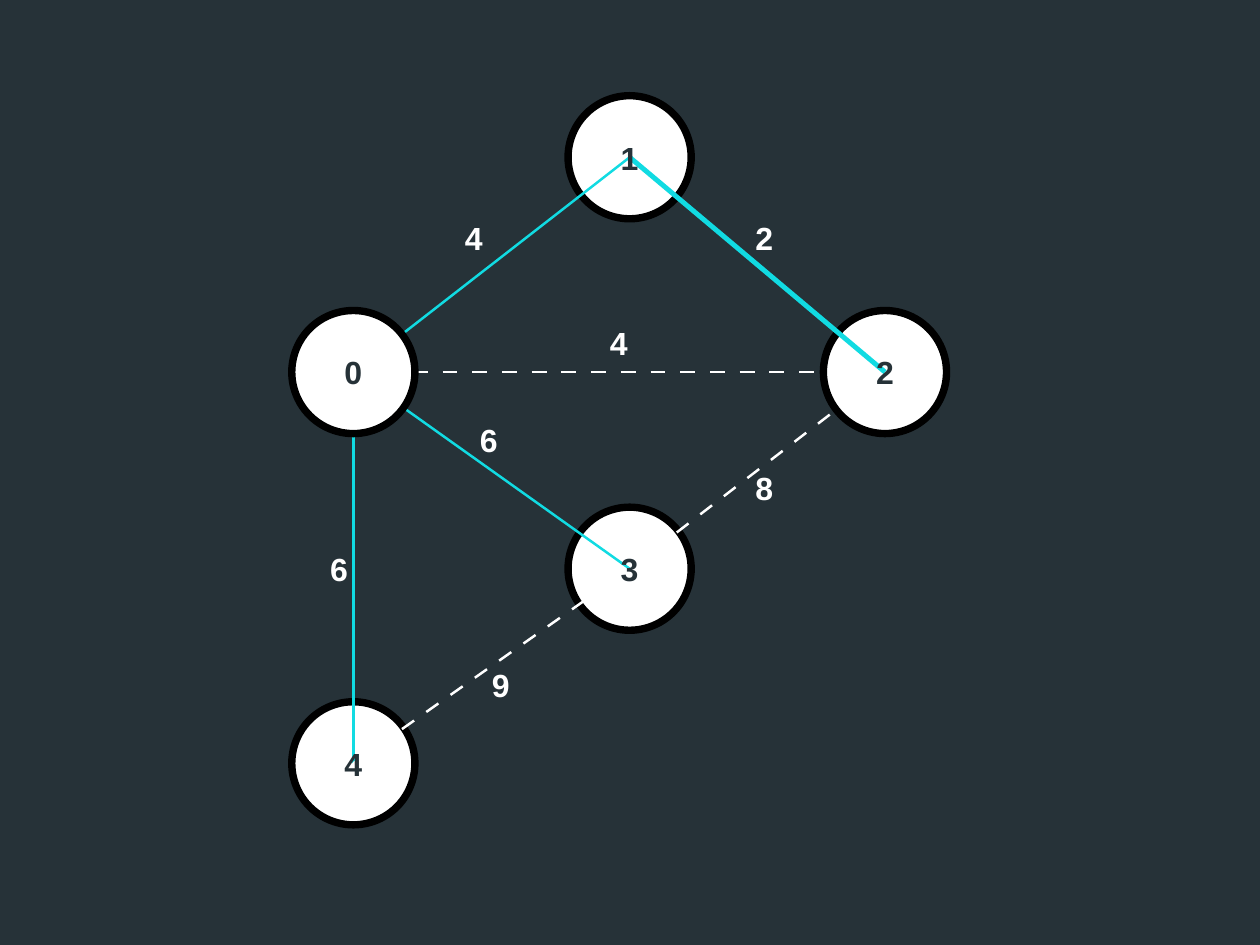
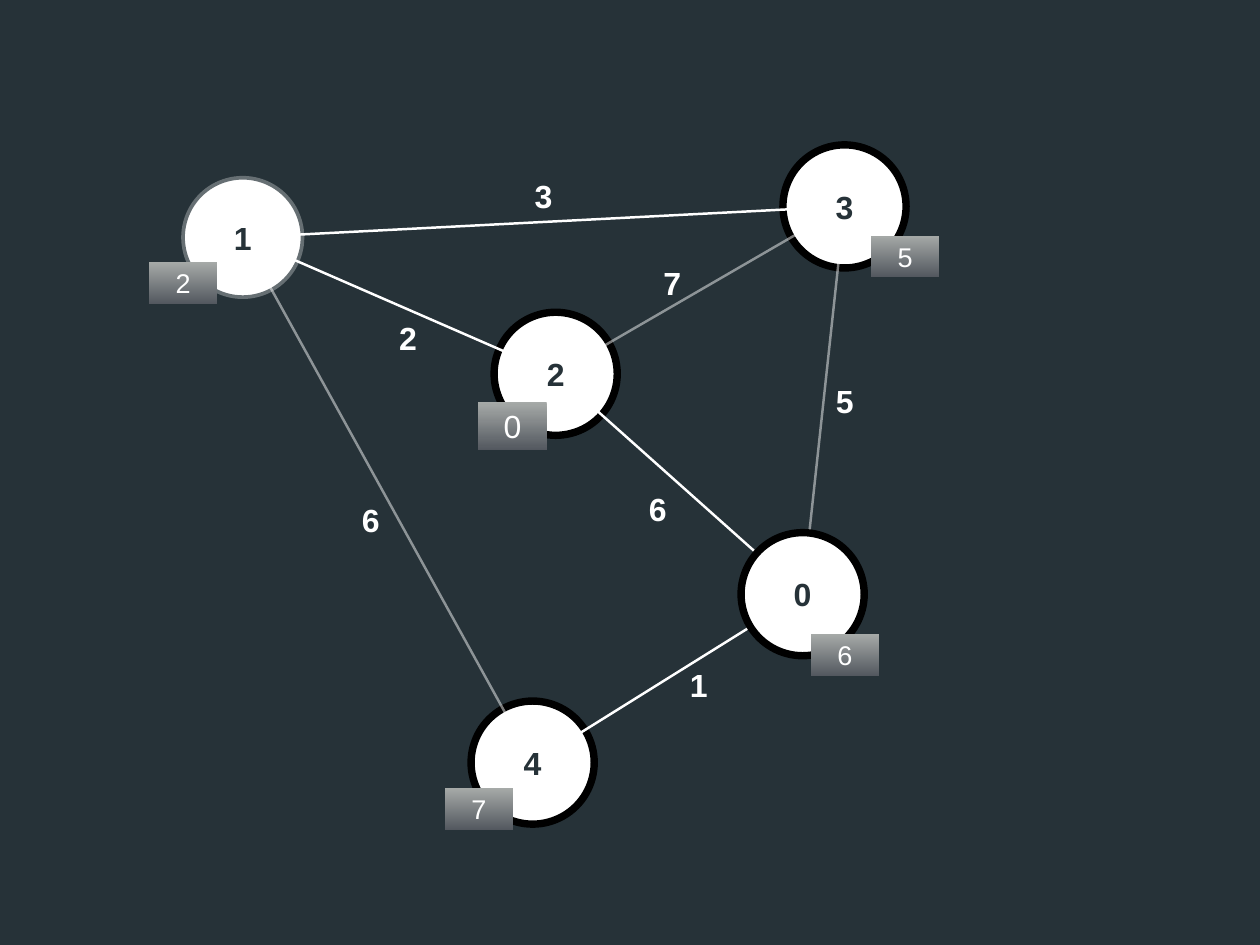
from lxml import etree
from pptx import Presentation
from pptx.dml.color import RGBColor
from pptx.enum import shapes, text
from pptx.oxml import ns
from pptx.util import Cm, Pt

DARK, WHITE, BLACK, TEAL = "263238", "FFFFFF", "000000", "11DBE2"
BADGE_TOP, BADGE_BOTTOM = "A6AAA8", "53585F"
FONT = "Arial"
NODE_SIZE = 3.53
LABEL_SIZE = (0.84, 1.37)
BADGE_WIDTH = 1.96

# Line styles; "opacity" is in percent, "dash" in multiples of the line width
TREE = dict(color=TEAL, width=2)
BOLD_TREE = dict(color=TEAL, width=4)
DASHED = dict(color=WHITE, width=2, dash=6)
PLAIN = dict(color=WHITE, width=2)
FAINT = dict(color=WHITE, width=2, opacity=48)
RING = dict(color=BLACK, width=6)
FADED_RING = dict(color=DARK, width=6, opacity=70)

# All positions are centres in centimetres.
# nodes: name -> centre; edges: from, to, weight, weight centre, style
# badges: text, centre, height, font size
GRAPHS = [
    dict(
        nodes={"1": (18.05, 4.51), "2": (25.37, 10.67), "4": (10.13, 21.89),
               "3": (18.05, 16.31), "0": (10.13, 10.67)},
        edges=[
            ("0", "1", "4", (13.58, 6.81), TREE),
            ("4", "0", "6", (9.72, 16.31), TREE),
            ("0", "2", "4", (17.74, 9.83), DASHED),
            ("3", "2", "8", (21.91, 14.0), DASHED),
            ("2", "1", "2", (21.91, 6.81), BOLD_TREE),
            ("3", "0", "6", (14.01, 12.62), TREE),
            ("4", "3", "9", (14.36, 19.63), DASHED),
        ],
        rings={},
        badges=[],
    ),
    dict(
        nodes={"1": (6.96, 6.81), "2": (15.93, 10.72), "4": (15.27, 21.87),
               "3": (24.21, 5.92), "0": (23.01, 17.04)},
        edges=[
            ("3", "1", "3", (15.58, 5.61), PLAIN),
            ("4", "0", "1", (20.03, 19.63), PLAIN),
            ("0", "2", "6", (18.86, 14.58), PLAIN),
            ("3", "2", "7", (19.27, 8.1), FAINT),
            ("2", "1", "2", (11.7, 9.68), PLAIN),
            ("3", "0", "5", (24.22, 11.48), FAINT),
            ("4", "1", "6", (10.63, 14.91), FAINT),
        ],
        rings={"1": FADED_RING},
        badges=[
            ("0", (14.69, 12.22), 1.37, 26),
            ("7", (13.73, 23.2), 1.19, 22),
            ("6", (24.22, 18.78), 1.19, 22),
            ("5", (25.95, 7.35), 1.19, 22),
            ("2", (5.25, 8.12), 1.19, 22),
        ],
    ),
]
START = "0"  # the start node lies above the edges


def rgb(value):
    """Turn a hex string into a colour."""
    return RGBColor.from_string(value)


def box(centre, width, height):
    """Return left, top, width and height of a box around a centre."""
    x, y = centre
    return Cm(x - width / 2), Cm(y - height / 2), Cm(width), Cm(height)


def style_line(line, color, width, opacity=None, dash=None):
    """Set colour, width, opacity and dashes of a line."""
    line.fill.solid()
    line.fill.fore_color.rgb = rgb(color)
    line.width = Pt(width)
    fill = line.fill._xPr.find(ns.qn("a:solidFill"))
    if opacity:
        etree.SubElement(fill[0], ns.qn("a:alpha"), val=str(opacity * 1000))
    if dash:
        pattern = etree.Element(ns.qn("a:custDash"))
        length = str(dash * 100000)
        etree.SubElement(pattern, ns.qn("a:ds"), d=length, sp=length)
        fill.addnext(pattern)


def write(sp, content, color=WHITE, size=26, bold=True, wrap=True):
    """Put centred text into a shape."""
    tf = sp.text_frame
    tf.word_wrap = wrap
    tf.vertical_anchor = text.MSO_ANCHOR.MIDDLE
    tf.margin_left = tf.margin_right = Cm(0.15)
    tf.margin_top = tf.margin_bottom = Cm(0.15)
    p = tf.paragraphs[0]
    p.alignment = text.PP_ALIGN.CENTER
    r = p.add_run()
    r.text = content
    r.font.name, r.font.size, r.font.bold = FONT, Pt(size), bold
    r.font.color.rgb = rgb(color)


def add_node(s, centre, ring):
    """Draw the circle of a node."""
    sp = s.shapes.add_shape(shapes.MSO_SHAPE.OVAL, *box(centre, NODE_SIZE, NODE_SIZE))
    sp.shadow.inherit = False
    sp.fill.solid()
    sp.fill.fore_color.rgb = rgb(WHITE)
    style_line(sp.line, **ring)
    return sp


def add_edge(s, start, end, style):
    """Draw a straight line between two node centres."""
    line = s.shapes.add_connector(shapes.MSO_CONNECTOR.STRAIGHT,
                                  *(Cm(v) for v in start + end))
    style_line(line.line, **style)
    etree.SubElement(line._element.spPr, ns.qn("a:effectLst"))


def add_label(s, content, centre, color=WHITE):
    """Place a bold number around a centre."""
    sp = s.shapes.add_textbox(*box(centre, *LABEL_SIZE))
    write(sp, content, color=color, wrap=False)


def add_badge(s, content, centre, height, size):
    """Draw a grey gradient box with a key value."""
    sp = s.shapes.add_shape(shapes.MSO_SHAPE.RECTANGLE, *box(centre, BADGE_WIDTH, height))
    sp.shadow.inherit = False
    sp.line.fill.background()
    sp.fill.gradient()
    sp.fill.gradient_angle = 270
    for stop, color in zip(sp.fill.gradient_stops, (BADGE_TOP, BADGE_BOTTOM)):
        stop.color.rgb = rgb(color)
    write(sp, content, size=size, bold=False)


def add_graph(prs, nodes, edges, rings, badges):
    """Build one slide with a weighted graph."""
    s = prs.slides.add_slide(prs.slide_layouts[6])
    s.background.fill.solid()
    s.background.fill.fore_color.rgb = rgb(DARK)
    others = {name: centre for name, centre in nodes.items() if name != START}
    for name, centre in others.items():
        add_node(s, centre, rings.get(name, RING))
    for start, end, _, _, style in edges:
        add_edge(s, nodes[start], nodes[end], style)
    write(add_node(s, nodes[START], RING), START, color=DARK)
    for name, centre in others.items():
        add_label(s, name, centre, color=DARK)
    for _, _, weight, centre, _ in edges:
        add_label(s, weight, centre)
    for badge in badges:
        add_badge(s, *badge)


prs = Presentation()
prs.slide_width, prs.slide_height = Cm(36.12), Cm(27.1)
for graph in GRAPHS:
    add_graph(prs, **graph)
prs.save("out.pptx")
